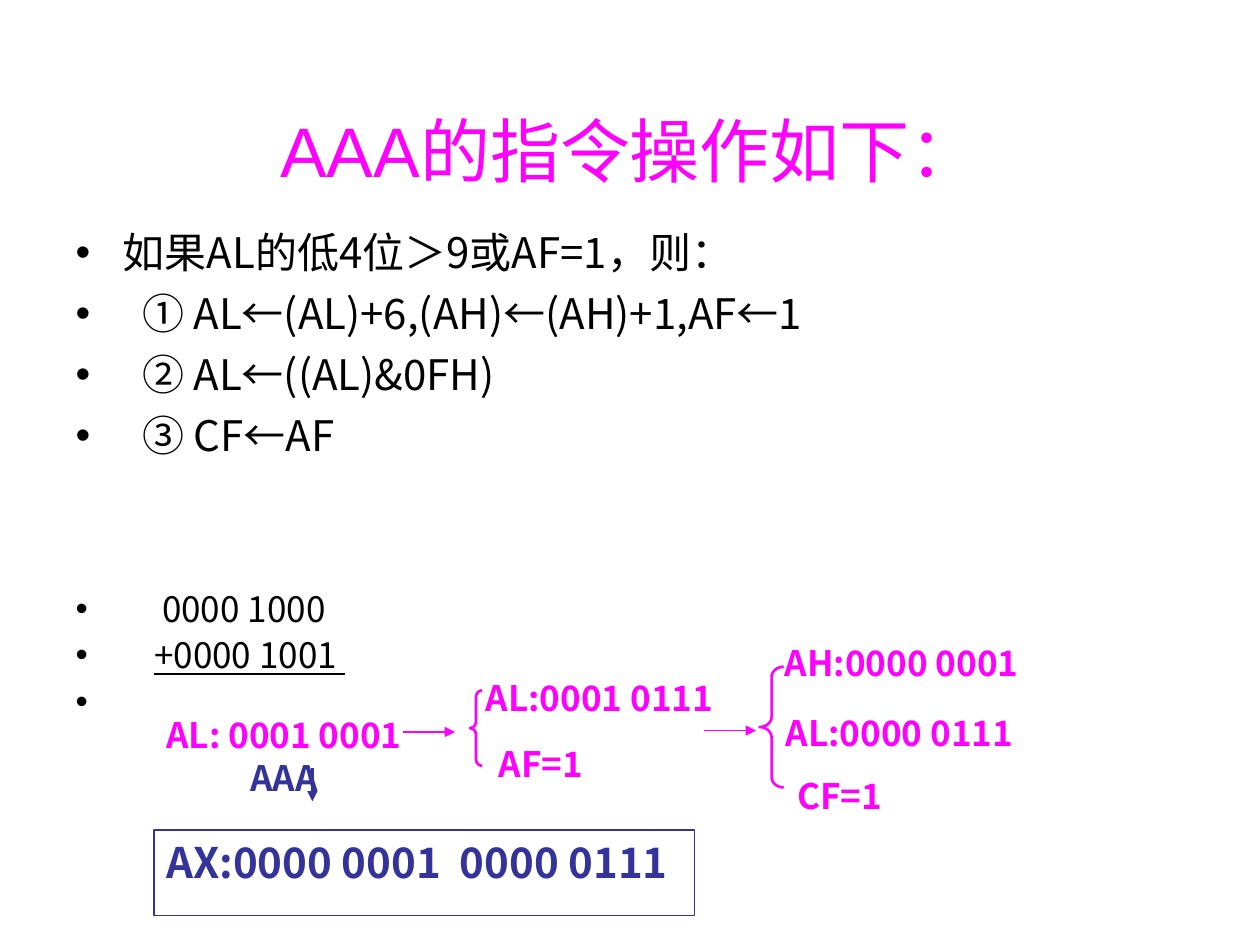
from lxml import etree
from pptx import Presentation
from pptx.dml.color import RGBColor
from pptx.enum.shapes import MSO_CONNECTOR, MSO_SHAPE
from pptx.enum.text import MSO_ANCHOR, MSO_AUTO_SIZE, PP_ALIGN
from pptx.oxml.ns import qn
from pptx.util import Pt

MAGENTA = RGBColor(0xFF, 0x00, 0xFF)
NAVY = RGBColor(0x33, 0x33, 0x99)
BLACK = RGBColor(0x00, 0x00, 0x00)
STRAIGHT = MSO_CONNECTOR.STRAIGHT
RECTANGLE = MSO_SHAPE.RECTANGLE
LEFT_BRACE = MSO_SHAPE.LEFT_BRACE
TOP, MIDDLE = MSO_ANCHOR.TOP, MSO_ANCHOR.MIDDLE
LEFT, CENTER = PP_ALIGN.LEFT, PP_ALIGN.CENTER
NO_AUTOFIT = MSO_AUTO_SIZE.NONE

HANGING = 27
LINE_HEIGHT = 1.2

# Text, size, extra indent, space before, line height factor, underline
STEPS = [
    ("如果AL的低4位＞9或AF=1，则：", 24, 0, 0, LINE_HEIGHT, False),
    ("① AL←(AL)+6,(AH)←(AH)+1,AF←1", 24, 11, 6, LINE_HEIGHT, False),
    ("② AL←((AL)&0FH)", 24, 11, 6, LINE_HEIGHT, False),
    ("③ CF←AF", 24, 11, 6, LINE_HEIGHT, False),
    ("0000 1000", 20, 22.4, 75, 1.08, False),
    ("+0000 1001 ", 20, 17.9, 5, 1.08, True),
    (" ", 20, 0, 5, 1.08, False),
]

# Text, left, top, width, colour
REGISTERS = [
    ("AL:0001 0111", 270.5, 383, 147, MAGENTA),
    ("AL: 0001 0001", 88, 404, 150, MAGENTA),
    ("CF=1", 448.5, 439, 109, MAGENTA),
    ("AH:0000 0001", 441.5, 363, 155, MAGENTA),
    ("AL:0000 0111", 442, 403, 155, MAGENTA),
    ("AF=1", 278, 420.5, 109, MAGENTA),
    ("AAA", 136, 428.5, 58, NAVY),
]

# Start x, start y, end x, end y, colour, line width
ARROWS = [
    (230.5, 418.3, 260, 418.3, MAGENTA, 0.75),
    (402.5, 417.5, 432, 417.5, MAGENTA, 0.75),
    (178.5, 439, 178.5, 458, NAVY, 1.5),
]

# Left, top, width, height, curve
BRACES = [
    (268.5, 394.5, 7, 43.2, 0.5),
    (434, 381, 13.8, 69, 0.42),
]


class SlideBuilder:
    def __init__(self, slide, font_name):
        self.slide = slide
        self.font_name = font_name

    def apply(self, target, values):
        for name, value in values.items():
            setattr(target, name, value)

    def place(self, shape, left, top, width, height):
        self.apply(shape, {"left": Pt(left), "top": Pt(top),
                           "width": Pt(width), "height": Pt(height)})

    def add_text(self, paragraph, text, size, color, font_name=None, **font_values):
        run = paragraph.add_run()
        run.text = text
        self.apply(run.font, {"name": font_name or self.font_name,
                              "size": Pt(size), **font_values})
        run.font.color.rgb = color
        east_asian = etree.Element(qn("a:ea"), typeface=self.font_name)
        run.font._element.find(qn("a:latin")).addnext(east_asian)

    def title(self, text, box):
        shape = self.slide.shapes.title
        self.place(shape, *box)
        self.apply(shape.text_frame, {"auto_size": NO_AUTOFIT,
                                      "vertical_anchor": MIDDLE})
        paragraph = shape.text_frame.paragraphs[0]
        paragraph.alignment = CENTER
        self.add_text(paragraph, text, 40, MAGENTA, "Arial")

    def bullets(self, items, box):
        shape = self.slide.placeholders[1]
        self.place(shape, *box)
        frame = shape.text_frame
        self.apply(frame, {"auto_size": NO_AUTOFIT, "vertical_anchor": TOP})
        for index, (text, size, indent, before, factor, underline) in enumerate(items):
            paragraph = frame.add_paragraph() if index else frame.paragraphs[0]
            margin = Pt(HANGING + indent)
            properties = paragraph._p.get_or_add_pPr()
            properties.set("marL", str(margin))
            properties.set("indent", str(-margin))
            self.apply(paragraph, {"space_before": Pt(before),
                                   "line_spacing": Pt(size * factor)})
            self.add_text(paragraph, text, size, BLACK, underline=underline)

    def bold_line(self, shape, text, size, color):
        frame = shape.text_frame
        self.apply(frame, {"word_wrap": False, "vertical_anchor": TOP,
                           "auto_size": NO_AUTOFIT})
        paragraph = frame.paragraphs[0]
        self.apply(paragraph, {"alignment": LEFT,
                               "line_spacing": Pt(size * LINE_HEIGHT)})
        self.add_text(paragraph, text, size, color, bold=True)

    def label(self, text, left, top, width, color):
        shape = self.slide.shapes.add_textbox(Pt(left), Pt(top), Pt(width), Pt(26))
        self.bold_line(shape, text, 20, color)

    def outline(self, kind, box, color, width):
        shape = self.slide.shapes.add_shape(kind, *map(Pt, box))
        shape.shadow.inherit = False
        shape.fill.background()
        shape.line.color.rgb = color
        shape.line.width = Pt(width)
        return shape

    def brace(self, left, top, width, height, curve):
        shape = self.outline(LEFT_BRACE, (left, top, width, height), MAGENTA, 1.5)
        shape.adjustments[0] = curve

    def result_box(self, text, box):
        shape = self.outline(RECTANGLE, box, NAVY, 0.75)
        self.bold_line(shape, text, 24, NAVY)

    def arrow(self, start_x, start_y, end_x, end_y, color, width):
        points = map(Pt, (start_x, start_y, end_x, end_y))
        connector = self.slide.shapes.add_connector(STRAIGHT, *points)
        connector.line.color.rgb = color
        connector.line.width = Pt(width)
        etree.SubElement(connector.line._get_or_add_ln(), qn("a:tailEnd"),
                         type="triangle")
        etree.SubElement(connector._element.spPr, qn("a:effectLst"))


def main():
    presentation = Presentation()
    presentation.slide_width, presentation.slide_height = Pt(720), Pt(540)
    slide = presentation.slides.add_slide(presentation.slide_layouts[1])
    builder = SlideBuilder(slide, "Noto Sans CJK SC")
    builder.title("AAA的指令操作如下：", (36, 59, 648, 52.5))
    builder.bullets(STEPS, (36, 126, 648, 356.5))
    for register in REGISTERS:
        builder.label(*register)
    for brace in BRACES:
        builder.brace(*brace)
    for arrow in ARROWS:
        builder.arrow(*arrow)
    builder.result_box("AX:0000 0001  0000 0111", (88, 474.3, 309, 49))
    presentation.save("out.pptx")


if __name__ == "__main__":
    main()
